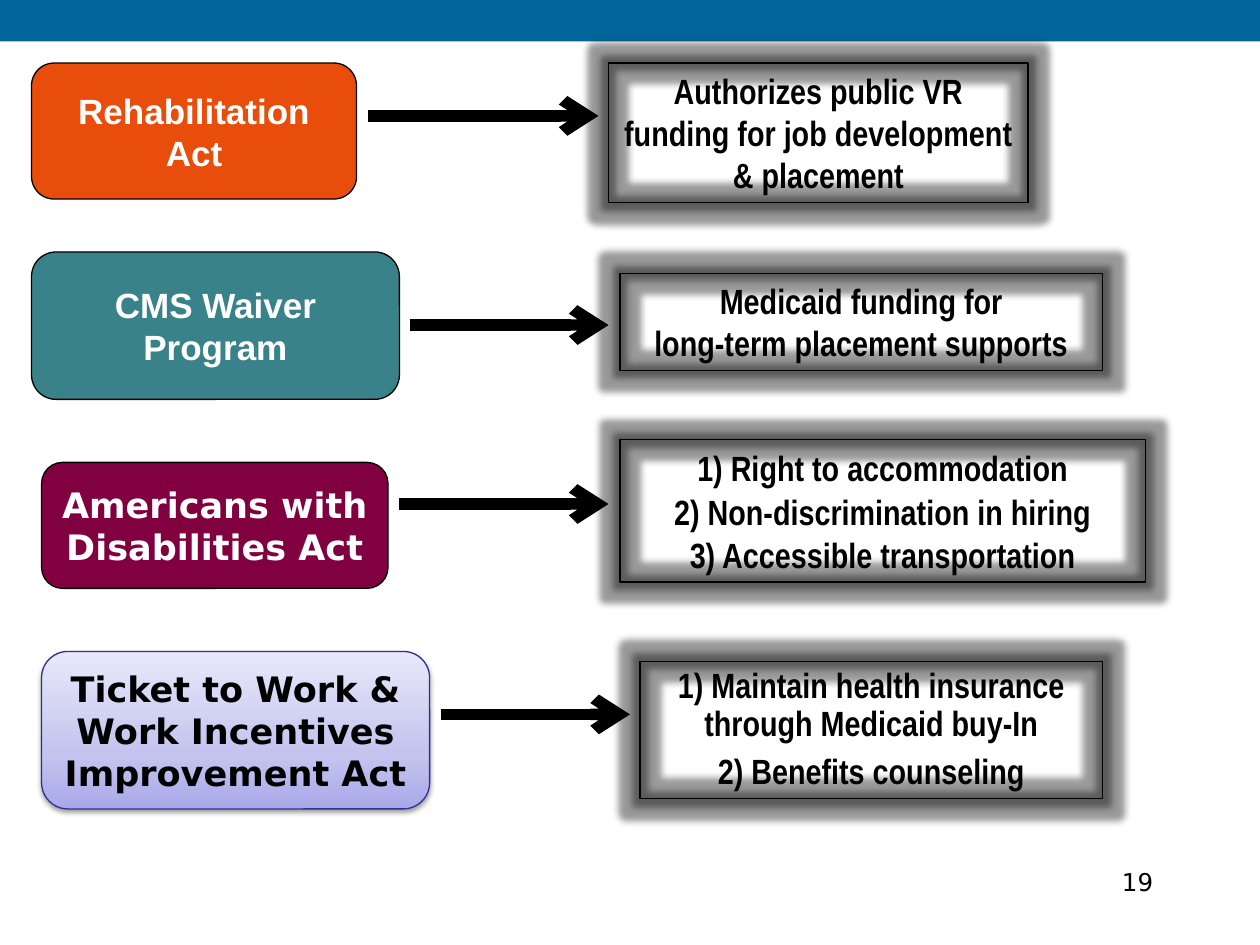
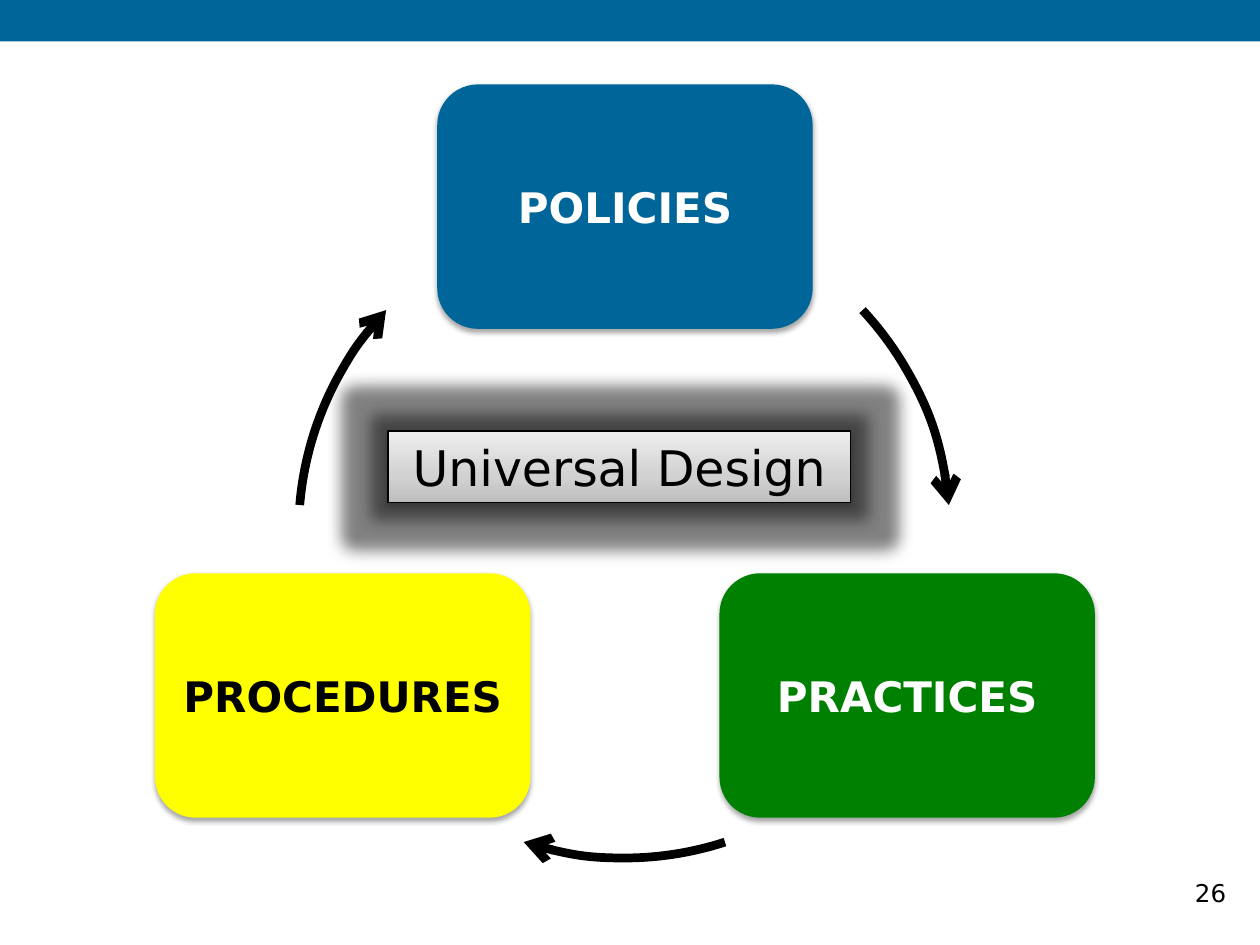
import copy
from dataclasses import dataclass

import pptx
import pptx.dml.color
import pptx.enum.shapes
import pptx.enum.text
import pptx.oxml
import pptx.oxml.ns
import pptx.util

Inches, Pt = pptx.util.Inches, pptx.util.Pt
SHAPE = pptx.enum.shapes.MSO_SHAPE
ALIGN = pptx.enum.text.PP_ALIGN
ANCHOR = pptx.enum.text.MSO_ANCHOR
qn = pptx.oxml.ns.qn


@dataclass(frozen=True)
class Theme:
    blue: str = "006699"
    black: str = "000000"
    white: str = "FFFFFF"
    orange: str = "E94D0C"
    teal: str = "3A8289"
    maroon: str = "800040"
    green: str = "008000"
    yellow: str = "FFFF00"
    indigo: str = "2F2F98"
    lilac: tuple = ("A9A9E9", "C4C4EF", "E8E8FA")
    silver: tuple = ("BDBDBD", "D1D1D1", "EEEEEE")
    sans: str = "DejaVu Sans"
    arial: str = "Arial"
    narrow: str = "Arial Narrow"
    number: int = 14
    body: int = 20
    stage: int = 24
    hub: int = 28
    outline: float = 0.75
    arrow: float = 6.5
    arc: float = 5


T = Theme()
WIDTH, HEIGHT = 10, 7.5
BAND_HEIGHT = 0.33
NUMBER_SIZE = (2.08, 0.5)

# Content: each law, its effect and the arrow between them (boxes in inches)
LAWS = [
    dict(law="Rehabilitation Act", box=(0.25, 0.5, 2.58, 1.08),
         fill=T.orange, line=T.black, color=T.white, font=T.arial,
         effect=["Authorizes public VR\vfunding for job development & placement"],
         effect_box=(4.83, 0.5, 3.33, 1.11), spacing=None, gap=0,
         arrow=(2.92, 4.75, 0.92)),
    dict(law="CMS Waiver Program", box=(0.25, 2, 2.92, 1.17),
         fill=T.teal, line=T.black, color=T.white, font=T.arial,
         effect=["Medicaid funding for\vlong-term placement supports"],
         effect_box=(4.92, 2.17, 3.83, 0.77), spacing=None, gap=0,
         arrow=(3.25, 4.83, 2.58)),
    dict(law="Americans with Disabilities Act", box=(0.33, 3.67, 2.75, 1),
         fill=T.maroon, line=T.black, color=T.white, font=T.sans,
         effect=["1) Right to accommodation", "2) Non-discrimination in hiring",
                 "3) Accessible transportation"],
         effect_box=(4.92, 3.49, 4.17, 1.13), spacing=24.6, gap=0,
         arrow=(3.17, 4.83, 4)),
    dict(law="Ticket to Work & Work Incentives Improvement Act",
         box=(0.33, 5.17, 3.08, 1.25),
         fill=T.lilac, line=T.indigo, color=T.black, font=T.sans,
         effect=["1) Maintain health insurance through Medicaid buy-In",
                 "2) Benefits counseling"],
         effect_box=(5.08, 5.25, 3.67, 1.09), spacing=21.6, gap=6,
         arrow=(3.5, 5, 5.67)),
]

# Content: the cycle, as (name, fill, text colour, column, row)
STAGES = [
    ("POLICIES", T.blue, T.white, 0, 0),
    ("PRACTICES", T.green, T.white, 1, 1),
    ("PROCEDURES", T.yellow, T.black, -1, 1),
]
STAGE_SIZE = (2.98, 1.94)
STAGE_ORIGIN = (3.47, 0.67)
STAGE_STEP = (2.24, 3.88)
RING = (2.37, 1.64, 5.17, 5.17)
ARCS = [(317, 355.2), (72, 108), (184.8, 223)]   # degrees, clockwise from 3 o'clock
HUB, HUB_BOX = "Universal Design", (3.08, 3.42, 3.67, 0.57)


def rgb(color):
    return pptx.dml.color.RGBColor.from_string(color)


def paint(sp, fill):
    """Fill with nothing, one colour, or three colours from bottom to top."""
    if fill is None:
        sp.fill.background()
    elif isinstance(fill, str):
        sp.fill.solid()
        sp.fill.fore_color.rgb = rgb(fill)
    else:
        sp.fill.gradient()
        sp.fill.gradient_angle = 90
        first = sp.element.spPr.find(".//" + qn("a:gs"))
        first.addnext(copy.deepcopy(first))
        stops = sp.element.spPr.findall(".//" + qn("a:gs"))
        for gs, pos in zip(stops, (0, 35000, 100000)):
            gs.set("pos", str(pos))
        for stop, color in zip(sp.fill.gradient_stops, fill):
            stop.color.rgb = rgb(color)


def add_effects(sp, glow=0, shadow=0):
    """Glow radius in points, shadow opacity in per cent."""
    tint = '<a:srgbClr val="000000"><a:alpha val="{}000"/></a:srgbClr>'
    parts = ""
    if glow:
        parts += f'<a:glow rad="{Pt(glow)}">{tint.format(40)}</a:glow>'
    if shadow:
        parts += (f'<a:outerShdw blurRad="{Pt(3.1)}" dist="{Pt(1.7)}" dir="5400000"'
                  f' rotWithShape="0">{tint.format(shadow)}</a:outerShdw>')
    spPr = sp.element.spPr
    for old in spPr.findall(qn("a:effectLst")):
        spPr.remove(old)
    ns = pptx.oxml.ns.nsdecls("a")
    spPr.append(pptx.oxml.parse_xml(f"<a:effectLst {ns}>{parts}</a:effectLst>"))


def add_box(slide, kind, box, fill, line=None, glow=0, shadow=0):
    sp = slide.shapes.add_shape(kind, *map(Inches, box))
    paint(sp, fill)
    if line:
        sp.line.color.rgb = rgb(line)
        sp.line.width = Pt(T.outline)
    else:
        sp.line.fill.background()
    sp.shadow.inherit = False
    if glow or shadow:
        add_effects(sp, glow, shadow)
    return sp


def write(sp, paragraphs, size, font, color, bold=True, align=ALIGN.CENTER,
          anchor=ANCHOR.MIDDLE, spacing=None, gap=0):
    tf = sp.text_frame
    tf.word_wrap = True
    tf.vertical_anchor = anchor
    for i, text in enumerate(paragraphs):
        p = tf.paragraphs[0] if i == 0 else tf.add_paragraph()
        p.text = text
        p.alignment = align
        if spacing:
            p.line_spacing = Pt(spacing)
        if i and gap:
            p.space_before = Pt(gap)
        for r in p.runs:
            r.font.size, r.font.name, r.font.bold = Pt(size), font, bold
            r.font.color.rgb = rgb(color)


def style_arrow(sp, width):
    sp.line.color.rgb = rgb(T.black)
    sp.line.width = Pt(width)
    ln = sp.line._get_or_add_ln()
    ns = pptx.oxml.ns.nsdecls("a")
    ln.append(pptx.oxml.parse_xml(f'<a:tailEnd {ns} type="arrow"/>'))
    add_effects(sp)


def add_number(slide, number, left, top):
    sp = slide.shapes.add_textbox(*map(Inches, (left, top, *NUMBER_SIZE)))
    write(sp, [number], T.number, T.sans, T.black, bold=False,
          align=ALIGN.RIGHT, anchor=ANCHOR.TOP)


def add_slide(prs):
    slide = prs.slides.add_slide(prs.slide_layouts[6])
    add_box(slide, SHAPE.RECTANGLE, (0, 0, WIDTH, BAND_HEIGHT), T.blue)
    return slide


def build_laws(prs):
    slide = add_slide(prs)
    for row in LAWS:
        sp = add_box(slide, SHAPE.ROUNDED_RECTANGLE, row["box"], row["fill"],
                     row["line"], shadow=38 if row["fill"] == T.lilac else 0)
        write(sp, [row["law"]], T.body, row["font"], row["color"])
        sp = add_box(slide, SHAPE.RECTANGLE, row["effect_box"], None, T.black, glow=8)
        write(sp, row["effect"], T.body, T.narrow, T.black, anchor=ANCHOR.TOP,
              spacing=row["spacing"], gap=row["gap"])
        start, end, y = map(Inches, row["arrow"])
        line = slide.shapes.add_connector(
            pptx.enum.shapes.MSO_CONNECTOR.STRAIGHT, start, y, end, y)
        style_arrow(line, T.arrow)
    add_number(slide, "19", 7.17, 6.83)


def build_cycle(prs):
    slide = add_slide(prs)
    add_number(slide, "26", 7.75, 6.92)
    # Stages
    for name, fill, color, col, row in STAGES:
        left = STAGE_ORIGIN[0] + col * STAGE_STEP[0]
        top = STAGE_ORIGIN[1] + row * STAGE_STEP[1]
        sp = add_box(slide, SHAPE.ROUNDED_RECTANGLE, (left, top, *STAGE_SIZE),
                     fill, shadow=35)
        write(sp, [name], T.stage, T.sans, color)
    # Arrows along one ring; an angle is stored in 60000ths of a degree
    for angles in ARCS:
        sp = add_box(slide, SHAPE.ARC, RING, None, T.black)
        for i, angle in enumerate(angles):
            sp.adjustments[i] = angle * 0.6
        style_arrow(sp, T.arc)
    # Hub
    sp = add_box(slide, SHAPE.RECTANGLE, HUB_BOX, T.silver, T.black, glow=18, shadow=38)
    write(sp, [HUB], T.hub, T.sans, T.black, bold=False, anchor=ANCHOR.TOP)


def main():
    prs = pptx.Presentation()
    prs.slide_width, prs.slide_height = Inches(WIDTH), Inches(HEIGHT)
    build_laws(prs)
    build_cycle(prs)
    prs.save("out.pptx")


if __name__ == "__main__":
    main()
